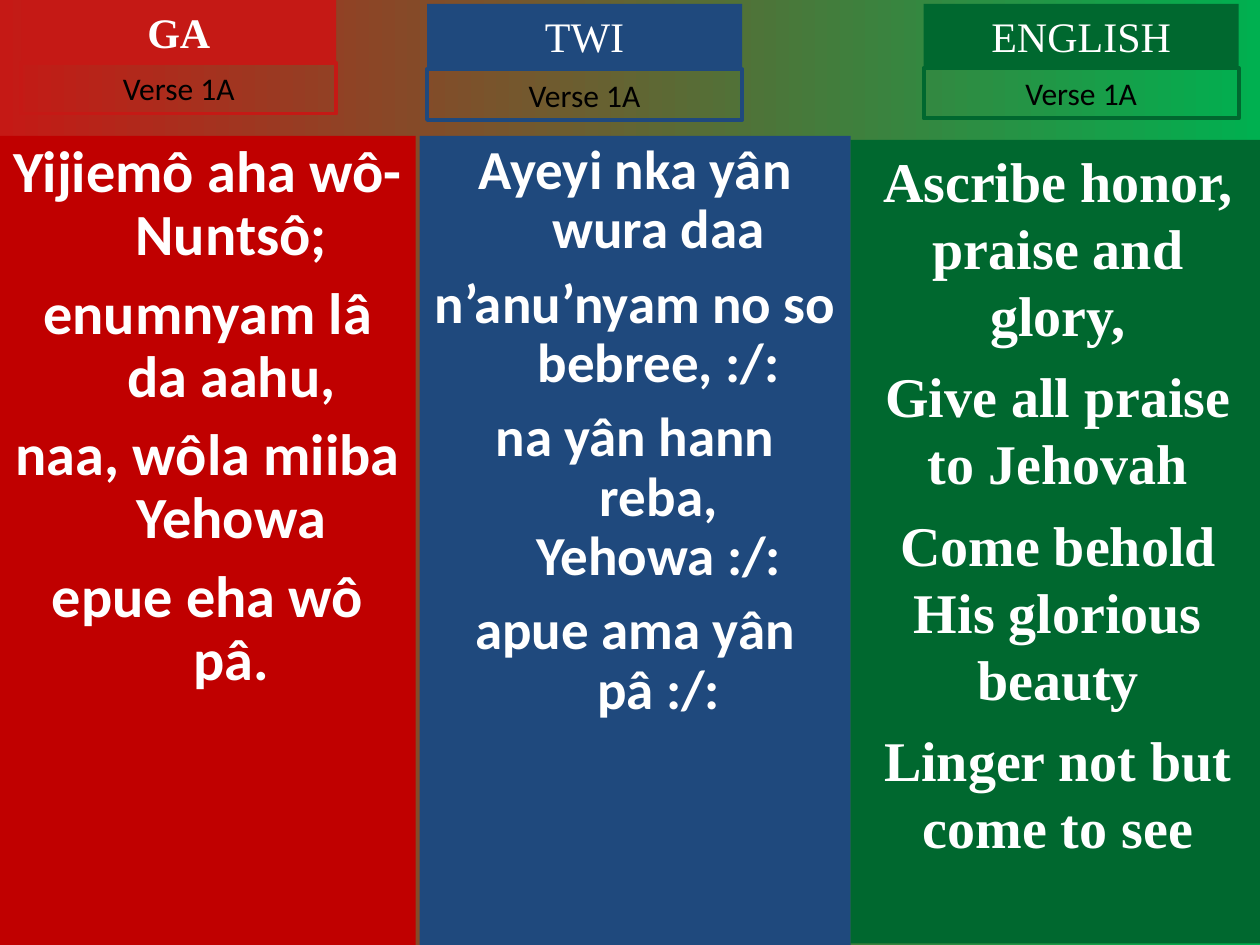
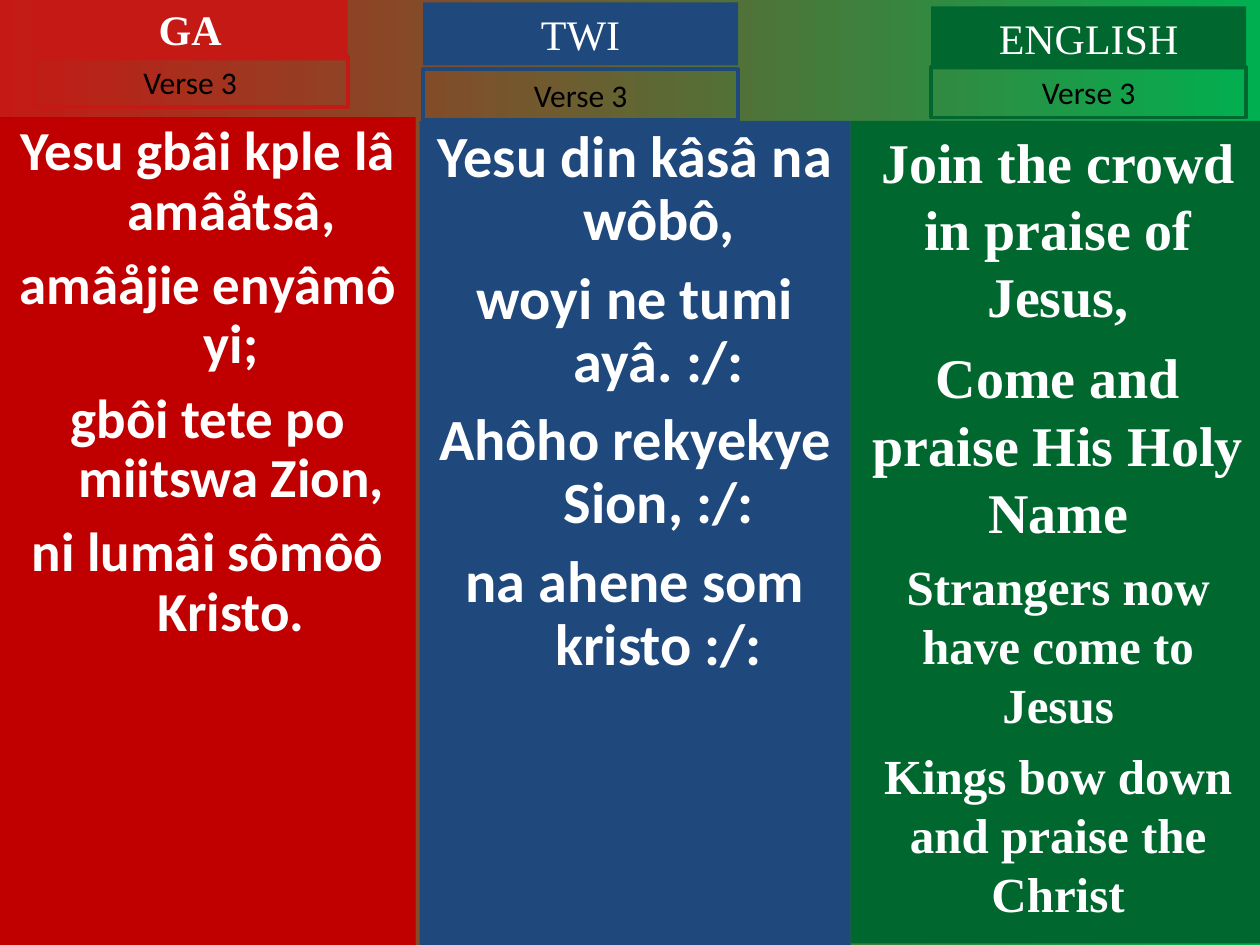
import pptx
import pptx.util
import pptx.dml.color
import pptx.enum.shapes
import pptx.enum.text

Cm, Pt = pptx.util.Cm, pptx.util.Pt

COLORS = {
    "red": "C51915", "deep_red": "C00000", "blue": "1F497D",
    "green": "00682F", "bright_green": "00B050",
    "white": "FFFFFF", "black": "000000",
}
SERIF, SANS = "Times New Roman", "Calibri"
HEADER_W, HEADER_H, LABEL_H = 6.35, 1.27, 1.02
HANGING = Cm(0.95)

# What each language column keeps on every slide
COLUMNS = {
    "GA": dict(left=0, width=8.38, bottom=19.05, panel="deep_red",
               accent="red", bold=True, font=SANS, hanging=True),
    "TWI": dict(left=8.46, width=8.69, bottom=19.05, panel="blue",
                accent="blue", bold=False, font=SANS, hanging=True),
    "ENGLISH": dict(left=17.15, width=8.36, bottom=19.02, panel="green",
                    accent="green", bold=False, font=SERIF, hanging=False),
}

# Space before a line of lyrics, by text size
SPACE_BEFORE = {33.3: 9, 31.4: 8.5, 32: 8, 28: 7}

# Per verse and language: panel top, header left and top, label top, lyrics
VERSES = {
    "Verse 1A": {
        "GA": (2.74, 0.43, 0, 1.27, [
            ("Yijiemô aha wô-Nuntsô;", 33.3),
            ("enumnyam lâ da aahu,", 33.3),
            ("naa, wôla miiba Yehowa", 33.3),
            ("epue eha wô pâ.", 33.3)]),
        "TWI": (2.74, 8.61, 0.08, 1.4, [
            ("Ayeyi nka yân wura daa", 31.4),
            ("n’anu’nyam no so bebree, :/:", 31.4),
            ("na yân hann reba, Yehowa :/:", 31.4),
            ("apue ama yân pâ :/:", 31.4)]),
        "ENGLISH": (2.82, 18.62, 0.08, 1.37, [
            ("Ascribe honor, praise and glory,", 32),
            ("Give all praise to Jehovah", 32),
            ("Come behold His glorious beauty", 32),
            ("Linger not but come to see", 32)]),
    },
    "Verse 3": {
        "GA": (2.36, 0.66, -0.05, 1.14, [
            ("Yesu gbâi kple lâ amâåtsâ,", 31.4),
            ("amâåjie enyâmô yi;", 31.4),
            ("gbôi tete po miitswa Zion,", 31.4),
            ("ni lumâi sômôô Kristo.", 31.4)]),
        "TWI": (2.44, 8.53, 0.05, 1.4, [
            ("Yesu din kâsâ na wôbô,", 33.3),
            ("woyi ne tumi ayâ. :/:", 33.3),
            ("Ahôho rekyekye Sion, :/:", 33.3),
            ("na ahene som kristo :/:", 33.3)]),
        "ENGLISH": (2.44, 18.77, 0.13, 1.35, [
            ("Join the crowd in praise of Jesus,", 32),
            ("Come and praise His Holy Name", 32),
            ("Strangers now have come to Jesus", 28),
            ("Kings bow down and praise the Christ", 28)]),
    },
}


def rgb(name):
    return pptx.dml.color.RGBColor.from_string(COLORS[name])


def set_background(slide):
    fill = slide.background.fill
    fill.gradient()
    fill.gradient_angle = 0
    for stop, name in zip(fill.gradient_stops, ("red", "bright_green")):
        stop.color.rgb = rgb(name)


def add_box(slide, left, top, width, height, fill=None, line=None):
    sp = slide.shapes.add_shape(pptx.enum.shapes.MSO_SHAPE.RECTANGLE,
                                Cm(left), Cm(top), Cm(width), Cm(height))
    sp.shadow.inherit = False
    if fill:
        sp.fill.solid()
        sp.fill.fore_color.rgb = rgb(fill)
    else:
        sp.fill.background()
    if line:
        sp.line.color.rgb = rgb(line)
        sp.line.width = Pt(2.25)
    else:
        sp.line.fill.background()
    tf = sp.text_frame
    tf.word_wrap = True
    tf.vertical_anchor = pptx.enum.text.MSO_ANCHOR.TOP
    return tf


def write(p, text, font, size, color="white", bold=False):
    p.text = text
    p.alignment = pptx.enum.text.PP_ALIGN.CENTER
    p.font.name = font
    p.font.size = Pt(size)
    p.font.bold = bold
    p.font.color.rgb = rgb(color)


def add_lyrics(slide, col, top, lyrics):
    tf = add_box(slide, col["left"], top, col["width"], col["bottom"] - top,
                 fill=col["panel"])
    for i, (text, size) in enumerate(lyrics):
        p = tf.add_paragraph() if i else tf.paragraphs[0]
        write(p, text, col["font"], size, bold=True)
        p.space_before = Pt(SPACE_BEFORE[size] if i else 0)
        if col["hanging"]:
            p.line_spacing = 0.9
            pPr = p._p.get_or_add_pPr()
            pPr.set("marL", str(HANGING))
            pPr.set("indent", str(-HANGING))


def add_heading(slide, col, language, verse, left, top, label_top):
    header = add_box(slide, left, top, HEADER_W, HEADER_H, fill=col["accent"])
    write(header.paragraphs[0], language, SERIF, 24, bold=col["bold"])
    label = add_box(slide, left, label_top, HEADER_W, LABEL_H,
                    line=col["accent"])
    write(label.paragraphs[0], verse, SANS, 18, color="black")
    for tf in (header, label):
        tf.auto_size = pptx.enum.text.MSO_AUTO_SIZE.SHAPE_TO_FIT_TEXT


def add_verse(prs, verse, parts):
    slide = prs.slides.add_slide(prs.slide_layouts[6])
    set_background(slide)
    for language, (panel_top, left, top, label_top, lyrics) in parts.items():
        col = COLUMNS[language]
        add_lyrics(slide, col, panel_top, lyrics)
        add_heading(slide, col, language, verse, left, top, label_top)


def main():
    prs = pptx.Presentation()
    prs.slide_width, prs.slide_height = Cm(25.4), Cm(19.05)
    for verse, parts in VERSES.items():
        add_verse(prs, verse, parts)
    prs.save("out.pptx")


if __name__ == "__main__":
    main()
